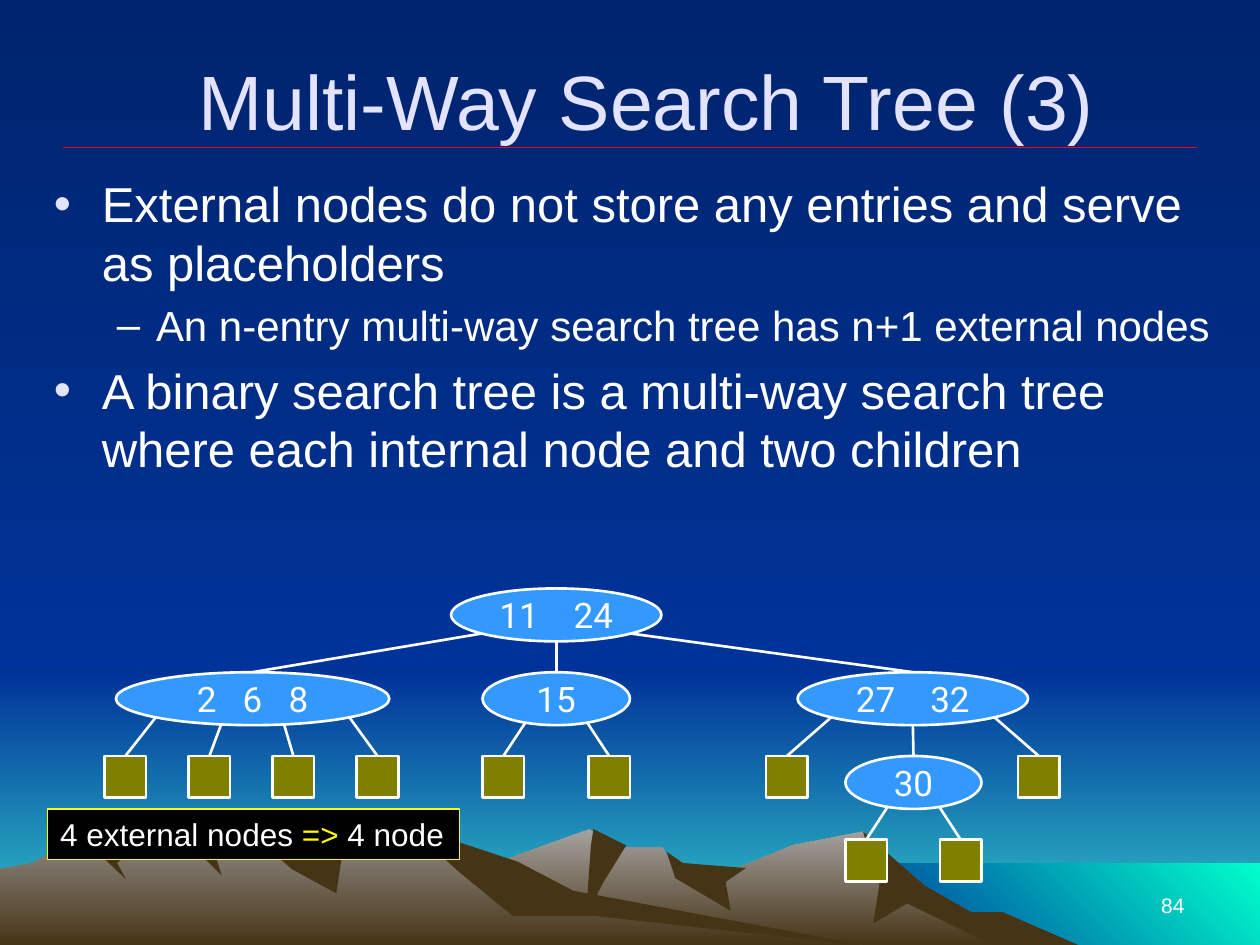
import math
from dataclasses import dataclass

from lxml import etree
from pptx import Presentation
from pptx import util as u
from pptx.dml import color
from pptx.enum import shapes, text
from pptx.oxml import ns


@dataclass(frozen=True)
class Theme:
    """Colours, typefaces and type sizes of the slide."""
    sky: tuple = ("00246D", "003399")
    horizon: tuple = ("003399", "33CCCC")
    sea: tuple = ("003399", "00FFCC")
    far_ridge: tuple = ("A5A29F", "463416")
    near_ridge: tuple = ("938F8B", "463416")
    shade: str = "463416"
    rule: str = "EF0129"
    title: str = "E3E3FF"
    white: str = "FFFFFF"
    node: str = "3399FF"
    leaf: str = "808000"
    black: str = "000000"
    accent: str = "FFFF00"
    face: str = "Arial"
    node_face: str = "Roboto"
    title_size: int = 44
    body_sizes: tuple = (28, 24)
    node_size: int = 20
    note_size: int = 18
    number_size: int = 12


@dataclass(frozen=True)
class Node:
    """An internal tree node; a plain number among its children is the left edge of a leaf."""
    left: float
    width: float
    keys: tuple
    starts: tuple
    children: tuple


THEME = Theme()
CORNERS = (0.146, 0.854)
LEVEL_TOP, LEVEL_STEP = 4.67, 0.665
NODE_HEIGHT, LEAF_SIDE = 0.42, 0.33
LEFT_LEAVES = tuple(0.83 + 0.667 * index for index in range(4))
TREE = Node(3.58, 1.67, ("11", "24"), (CORNERS[0], 0.5, CORNERS[1]), (
    Node(0.92, 2.17, ("2", "6", "8"), (CORNERS[0], 0.385, 0.615, CORNERS[1]), LEFT_LEAVES),
    Node(3.83, 1.17, ("15",), (0.29, 0.71), (3.83, 4.67)),
    Node(6.33, 1.83, ("27", "32"), (CORNERS[0], 0.5, CORNERS[1]), (
        6.08, Node(6.71, 1.08, ("30",), (0.31, 0.69), (6.71, 7.46)), 8.08)),
))
BULLETS = (
    (0, "External nodes do not store any entries and serve as placeholders"),
    (1, "An n-entry multi-way search tree has n+1 external nodes"),
    (0, "A binary search tree is a multi-way search tree where each internal node and two children"),
)
BULLET_STYLES = (("•", THEME.title, 0.38, 0.38), ("–", THEME.white, 0.81, 0.31))
MOUNTAINS = (
    (THEME.far_ridge, (
        (821, 751), (764, 723), (723, 698), (685, 660), (629, 671), (566, 697), (536, 690),
        (526, 673), (486, 673), (468, 658), (394, 685), (327, 709), (258, 751))),
    (THEME.shade, (
        (858, 751), (796, 724), (771, 724), (734, 703), (685, 660), (698, 702), (693, 733),
        (720, 717), (792, 752))),
    (THEME.shade, ((471, 658), (469, 671), (465, 727), (479, 700), (497, 671))),
    (THEME.shade, ((529, 676), (536, 697), (580, 723), (576, 700), (592, 689), (542, 685))),
    (THEME.near_ridge, (
        (690, 751), (432, 712), (354, 665), (318, 664), (271, 682), (236, 681), (208, 658),
        (160, 671), (94, 671), (68, 662), (26, 685), (0, 690), (0, 751))),
    (THEME.shade, ((212, 660), (208, 669), (232, 690), (267, 709), (271, 682))),
    (THEME.shade, (
        (354, 665), (339, 669), (363, 691), (407, 727), (472, 727), (690, 751), (455, 707), (411, 684))),
    (THEME.shade, ((148, 667), (168, 669), (176, 695))),
    (THEME.shade, ((69, 662), (111, 669), (93, 685), (100, 698), (77, 676))),
)


def rgb(value):
    """Turn a hex string into a colour."""
    return color.RGBColor.from_string(value)


def apply(target, values):
    """Set every attribute in a dict of format values."""
    for name, value in values.items():
        setattr(target, name, value)


def paint(fill, paint_value, angle=270):
    """Fill with one colour, or with a gradient between two."""
    if isinstance(paint_value, str):
        fill.solid()
        fill.fore_color.rgb = rgb(paint_value)
        return
    fill.gradient()
    fill.gradient_angle = angle
    for stop, value in zip(fill.gradient_stops, paint_value):
        stop.color.rgb = rgb(value)


def finish(box, fill, line=None, weight=1.5, angle=270):
    """Give a shape its fill and outline and no shadow."""
    box.shadow.inherit = False
    paint(box.fill, fill, angle)
    if line:
        box.line.width = u.Pt(weight)
        box.line.color.rgb = rgb(line)
    else:
        box.line.fill.background()
    return box


def add_box(page, kind, bounds, fill, **outline):
    """Add a preset shape with bounds in inches."""
    return finish(page.shapes.add_shape(kind, *map(u.Inches, bounds)), fill, **outline)


def add_outline(page, points, fill):
    """Add a closed outline with points in hundredths of an inch."""
    builder = page.shapes.build_freeform(*points[0], scale=u.Inches(0.01))
    builder.add_line_segments(points[1:], close=True)
    finish(builder.convert_to_shape(), fill)


def add_line(page, start, end, line, weight=1.5):
    """Add a straight line between two points in inches."""
    edge = page.shapes.add_connector(shapes.MSO_CONNECTOR.STRAIGHT, *map(u.Inches, (*start, *end)))
    edge.line.width = u.Pt(weight)
    edge.line.color.rgb = rgb(line)
    etree.SubElement(edge._element.spPr, ns.qn("a:effectLst"))
    return edge


def add_span(para, words, size, ink=THEME.white, face=THEME.face):
    """Add a run of styled text."""
    span = para.add_run()
    span.text = words
    apply(span.font, {"size": u.Pt(size), "name": face})
    span.font.color.rgb = rgb(ink)
    return span


def add_text(page, bounds, anchor, align, words, size, ink):
    """Add a text box with one paragraph."""
    box = page.shapes.add_textbox(*map(u.Inches, bounds))
    apply(box.text_frame, {"word_wrap": True, "vertical_anchor": anchor})
    para = box.text_frame.paragraphs[0]
    para.alignment = align
    add_span(para, words, size, ink)


def add_bullets(page, bounds):
    """Add the bulleted body text."""
    box = page.shapes.add_textbox(*map(u.Inches, bounds))
    box.text_frame.word_wrap = True
    for index, (level, words) in enumerate(BULLETS):
        para = box.text_frame.add_paragraph() if index else box.text_frame.paragraphs[0]
        size = THEME.body_sizes[level]
        mark, ink, margin, hang = BULLET_STYLES[level]
        props = para._p.get_or_add_pPr()
        props.set("marL", str(u.Inches(margin)))
        props.set("indent", str(-u.Inches(hang)))
        tint = etree.SubElement(props, ns.qn("a:buClr"))
        etree.SubElement(tint, ns.qn("a:srgbClr"), val=ink)
        etree.SubElement(props, ns.qn("a:buFont"), typeface=THEME.face)
        etree.SubElement(props, ns.qn("a:buChar"), char=mark)
        apply(para, {"level": level, "space_before": u.Pt(0.2 * size if index else 0)})
        add_span(para, words, size)


def add_keys(box, keys):
    """Write the keys of a node, set apart by a widened space."""
    apply(box.text_frame, {"word_wrap": False, "vertical_anchor": text.MSO_ANCHOR.MIDDLE})
    para = box.text_frame.paragraphs[0]
    para.alignment = text.PP_ALIGN.CENTER
    for index, key in enumerate(keys):
        if index:
            gap = add_span(para, " ", THEME.node_size, face=THEME.node_face)
            gap._r.get_or_add_rPr().set("spc", str(2500 - 500 * len(keys)))
        add_span(para, key, THEME.node_size, face=THEME.node_face)


def add_tree(page, node, depth=0):
    """Draw a node with its subtree and return its shape."""
    top = LEVEL_TOP + depth * LEVEL_STEP
    if not isinstance(node, Node):
        bounds = (node, top, LEAF_SIDE, LEAF_SIDE)
        return add_box(page, shapes.MSO_SHAPE.RECTANGLE, bounds, THEME.leaf, line=THEME.white)
    bounds = (node.left, top, node.width, NODE_HEIGHT)
    box = add_box(page, shapes.MSO_SHAPE.OVAL, bounds, THEME.node, line=THEME.white)
    add_keys(box, node.keys)
    for fraction, child in zip(node.starts, node.children):
        drop = (1 + math.sqrt(1 - (2 * fraction - 1) ** 2)) / 2
        start = (node.left + fraction * node.width, top + drop * NODE_HEIGHT)
        add_line(page, start, start, THEME.white).end_connect(add_tree(page, child, depth + 1), 0)
    return box


def add_scenery(page):
    """Draw the sky, the sea and the mountains."""
    paint(page.background.fill, THEME.sky)
    rectangle = shapes.MSO_SHAPE.RECTANGLE
    add_box(page, rectangle, (0, 5.33, 10, 2.17), THEME.horizon)
    add_box(page, rectangle, (0, 0, 10, 5.33), THEME.sky)
    add_box(page, rectangle, (6.83, 6.85, 3.17, 0.67), THEME.sea, angle=45)
    for fill, points in MOUNTAINS:
        add_outline(page, points, fill)


def add_note(page):
    """Add the framed note on external nodes."""
    box = add_box(page, shapes.MSO_SHAPE.RECTANGLE, (0.38, 6.42, 3.27, 0.4), THEME.black,
                  line=THEME.accent, weight=0.75)
    apply(box.text_frame, {"word_wrap": False, "auto_size": text.MSO_AUTO_SIZE.SHAPE_TO_FIT_TEXT,
                           "vertical_anchor": text.MSO_ANCHOR.TOP})
    para = box.text_frame.paragraphs[0]
    para.alignment = text.PP_ALIGN.LEFT
    for words, ink in (("4 external nodes ", THEME.white), ("=>", THEME.accent), (" 4 node", THEME.white)):
        add_span(para, words, THEME.note_size, ink)


def main():
    """Build the slide and save it."""
    deck = Presentation()
    apply(deck, {"slide_width": u.Inches(10), "slide_height": u.Inches(7.5)})
    page = deck.slides.add_slide(deck.slide_layouts[6])
    add_scenery(page)
    add_line(page, (0.5, 1.17), (9.5, 1.17), THEME.rule, 0.75)
    add_text(page, (7.17, 6.83, 2.33, 0.5), text.MSO_ANCHOR.BOTTOM, text.PP_ALIGN.RIGHT,
             "84", THEME.number_size, THEME.white)
    add_text(page, (0.67, 0.33, 8.92, 0.92), text.MSO_ANCHOR.MIDDLE, text.PP_ALIGN.CENTER,
             "Multi-Way Search Tree (3)", THEME.title_size, THEME.title)
    add_bullets(page, (0.33, 1.33, 9.42, 3))
    add_tree(page, TREE)
    add_note(page)
    deck.save("out.pptx")


if __name__ == "__main__":
    main()
